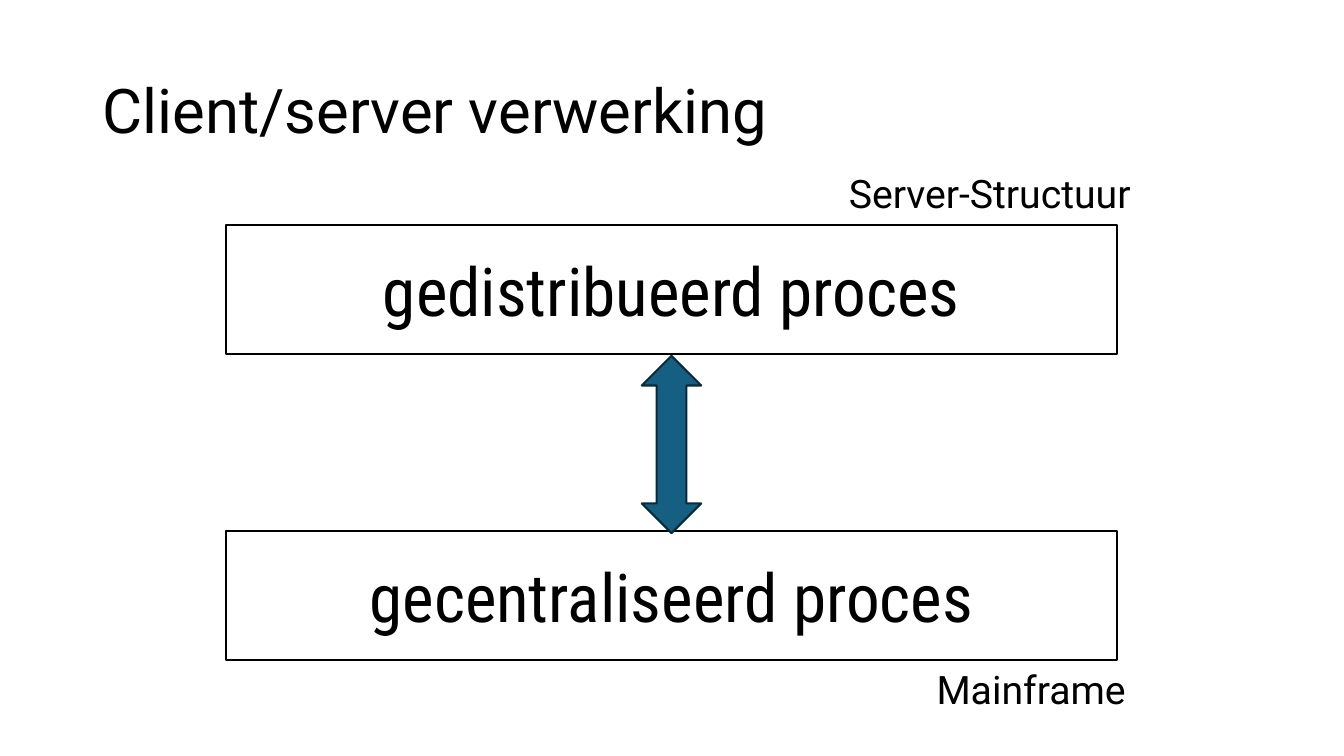
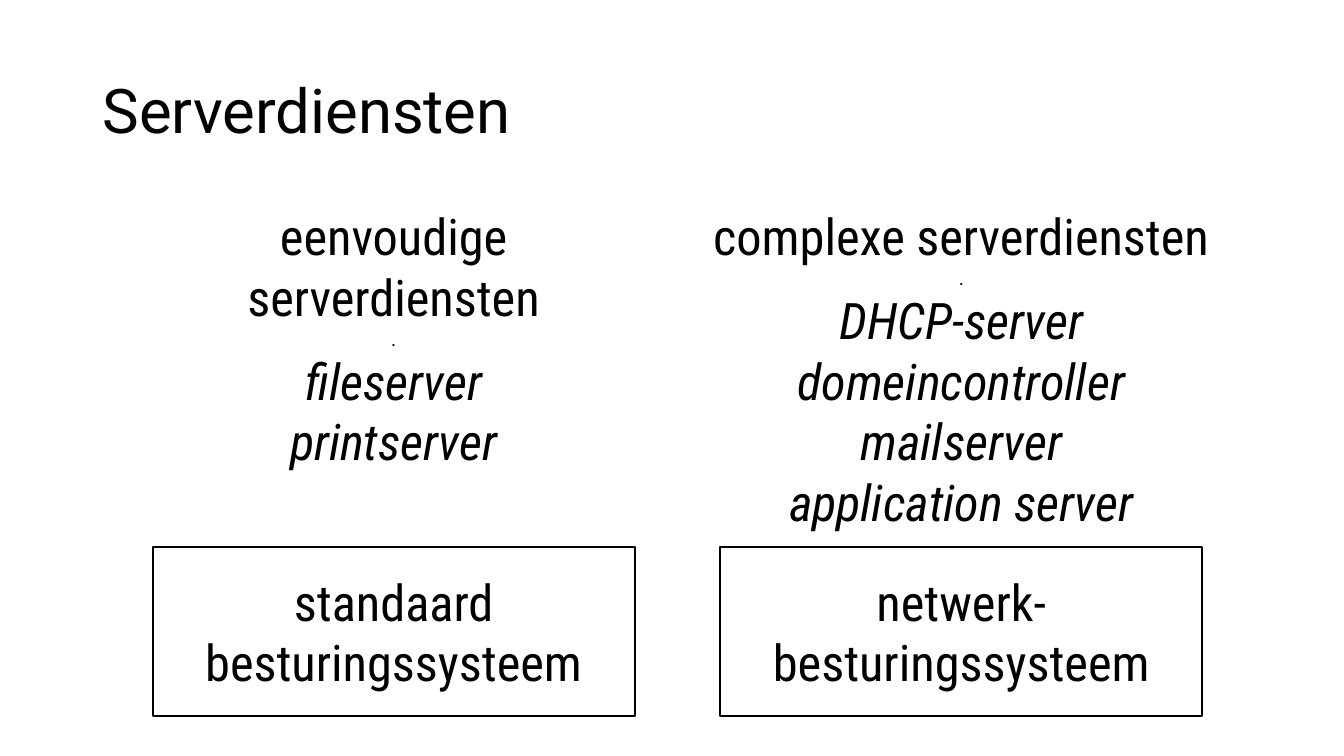
from pptx import Presentation
from pptx.dml.color import RGBColor
from pptx.enum import shapes, text
from pptx.util import Inches, Pt

BLACK = RGBColor(0x00, 0x00, 0x00)
WHITE = RGBColor(0xFF, 0xFF, 0xFF)
TEAL = RGBColor(0x15, 0x60, 0x82)
DARK_TEAL = RGBColor(0x09, 0x2A, 0x39)
PLAIN, CONDENSED = "Roboto", "Roboto Condensed"
CENTER = text.PP_ALIGN.CENTER


def write(tf, lines, font, align=None, anchor=text.MSO_ANCHOR.TOP):
    """Fill a text frame with (text, size, italic) lines."""
    tf.word_wrap = True
    tf.vertical_anchor = anchor
    for i, (line, size, italic) in enumerate(lines):
        p = tf.paragraphs[0] if i == 0 else tf.add_paragraph()
        p.text = line
        p.alignment = align
        p.font.name, p.font.size, p.font.italic = font, Pt(size), italic
        p.font.color.rgb = BLACK


def add_text(s, box, lines, font, **style):
    tf = s.shapes.add_textbox(*map(Inches, box)).text_frame
    write(tf, lines, font, **style)
    return tf


def add_outlined(s, kind, box, fill, line):
    sp = s.shapes.add_shape(kind, *map(Inches, box))
    sp.shadow.inherit = False
    sp.fill.solid()
    sp.fill.fore_color.rgb = fill
    sp.line.color.rgb = line
    sp.line.width = Pt(1.5)
    return sp


def add_box(s, box, label, size):
    sp = add_outlined(s, shapes.MSO_SHAPE.RECTANGLE, box, WHITE, BLACK)
    write(sp.text_frame, [(label, size, False)], CONDENSED,
          align=CENTER, anchor=text.MSO_ANCHOR.MIDDLE)


def new_slide(prs, title):
    s = prs.slides.add_slide(prs.slide_layouts[6])
    tf = add_text(s, (0.92, 0.4, 11.5, 1.45), [(title, 44, False)], PLAIN,
                  anchor=text.MSO_ANCHOR.MIDDLE)
    tf.paragraphs[0].line_spacing = 0.9
    return s


def process_diagram(s, left, top, width, height):
    """Two process boxes joined by a double arrow, with a caption each."""
    box_h, arrow_w, caption_w, caption_h = 1.28, 0.59, 3.81, 0.57
    lower = top + height - box_h
    add_box(s, (left, top, width, box_h), "gedistribueerd proces", 48)
    add_box(s, (left, lower, width, box_h), "gecentraliseerd proces", 48)
    add_outlined(s, shapes.MSO_SHAPE.UP_DOWN_ARROW,
                 (left + (width - arrow_w) / 2, top + box_h + 0.02,
                  arrow_w, lower - top - box_h),
                 TEAL, DARK_TEAL)
    # Captions above and below the boxes
    for caption, dx, y in (("Server-Structuur", 6.08, top - 0.6),
                           ("Mainframe", 6.95, top + height)):
        add_text(s, (left + dx, y, caption_w, caption_h),
                 [(caption, 28, False)], PLAIN)


def service_column(s, left, top, width, heading, services, system):
    """A list of services above the operating system that they need."""
    box_w, box_h = 4.78, 1.67
    lines = [(heading, 36, False), (".", 14, False)]
    lines += [(service, 36, True) for service in services]
    add_text(s, (left, top, width, 3.4), lines, CONDENSED, align=CENTER)
    add_box(s, (left + (width - box_w) / 2, top + 3.44, box_w, box_h),
            system, 36)


def main():
    prs = Presentation()
    prs.slide_width, prs.slide_height = Inches(13.33), Inches(7.5)

    # Client/server processing
    s = new_slide(prs, "Client/server verwerking")
    process_diagram(s, 2.24, 2.23, 8.84, 4.32)

    # Server services
    s = new_slide(prs, "Serverdiensten")
    service_column(s, 1.28, 1.99, 5.25, "eenvoudige serverdiensten",
                   ["fileserver", "printserver"],
                   "standaard besturingssysteem")
    service_column(s, 6.93, 1.99, 5.21, "complexe serverdiensten",
                   ["DHCP-server", "domeincontroller", "mailserver",
                    "application server"],
                   "netwerk-besturingssysteem")

    prs.save("out.pptx")


if __name__ == "__main__":
    main()
